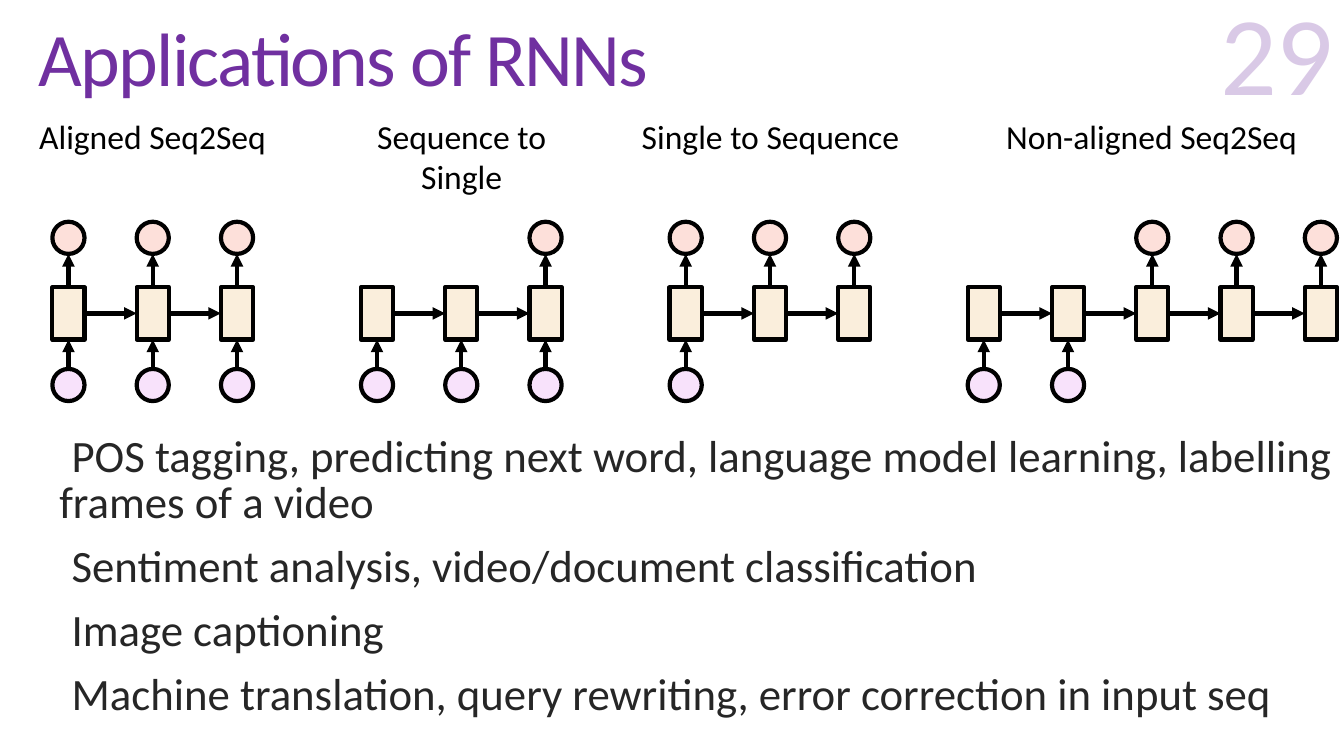
from pptx import Presentation
from pptx.dml.color import RGBColor
from pptx.enum.shapes import MSO_CONNECTOR as CONNECTOR, MSO_SHAPE as SHAPE
from pptx.enum.text import MSO_ANCHOR as ANCHOR, PP_ALIGN as ALIGN
from pptx.oxml.xmlchemy import OxmlElement
from pptx.util import Pt

COLORS = {
    "purple": "7030A0",
    "black": "000000",
    "body": "262626",
    "input": "F8E2FB",
    "output": "FDE0DA",
    "cell": "FAEEDC",
}
FONT = "Calibri"
NODE = 23
CELL_HEIGHT = 37.4
PITCH = 60.2
CELL_DROP = 46.8
INPUT_DROP = 105.1

DIAGRAMS = [
    ("Aligned Seq2Seq", (0, 218), 37.4, 3, {0, 1, 2}, {0, 1, 2}),
    ("Sequence to Single", (231.1, 197.3), 257.8, 3, {0, 1, 2}, {2}),
    ("Single to Sequence", (432.7, 235.4), 478.3, 3, {0}, {0, 1, 2}),
    ("Non-aligned Seq2Seq", (704.9, 235.4), 691.2, 5, {0, 1}, {2, 3, 4}),
]
APPLICATIONS = [
    "POS tagging, predicting next word, language model learning, "
    "labelling frames of a video",
    "Sentiment analysis, video/document classification",
    "Image captioning",
    "Machine translation, query rewriting, error correction in input seq",
]


def rgb(name):
    return RGBColor.from_string(COLORS[name])


def add_text(shapes, box, lines, size, color, align=ALIGN.LEFT, anchor=ANCHOR.TOP):
    shape = shapes.add_textbox(*map(Pt, box))
    frame = shape.text_frame
    frame.word_wrap = True
    frame.vertical_anchor = anchor
    frame.text = "\n".join(lines)
    for paragraph in frame.paragraphs:
        paragraph.alignment = align
        for run in paragraph.runs:
            run.font.name = FONT
            run.font.size = Pt(size)
            run.font.color.rgb = rgb(color)
    return frame


def add_node(shapes, kind, left, top, height, color):
    shape = shapes.add_shape(kind, Pt(left), Pt(top), Pt(NODE), Pt(height))
    shape.shadow.inherit = False
    shape.fill.solid()
    shape.fill.fore_color.rgb = rgb(color)
    shape.line.color.rgb = rgb("black")
    shape.line.width = Pt(3)
    return shape


def add_arrow(shapes, start, end):
    arrow = shapes.add_connector(CONNECTOR.STRAIGHT, *map(Pt, start + end))
    arrow.line.color.rgb = rgb("black")
    arrow.line.width = Pt(3)
    head = OxmlElement("a:tailEnd")
    head.set("type", "triangle")
    arrow.line._get_or_add_ln().append(head)
    arrow._element.spPr.append(OxmlElement("a:effectLst"))
    return arrow


def add_title(slide, box):
    frame = add_text(slide.shapes, box, ["Applications of RNNs"], 54, "purple",
                     anchor=ANCHOR.MIDDLE)
    paragraph = frame.paragraphs[0]
    paragraph.line_spacing = 0.85
    paragraph.runs[0].font._element.set("spc", "-120")


def add_slide_number(slide, box):
    frame = add_text(slide.shapes, box, ["29"], 80, "purple", ALIGN.RIGHT, ANCHOR.BOTTOM)
    alpha = OxmlElement("a:alpha")
    alpha.set("val", "25000")
    properties = frame.paragraphs[0].runs[0].font._element
    properties.find(".//{*}srgbClr").append(alpha)


def add_network(slide, left, top, steps, inputs, outputs):
    shapes = slide.shapes.add_group_shape().shapes
    cell_top = top + CELL_DROP
    cell_bottom = cell_top + CELL_HEIGHT
    cell_middle = cell_top + CELL_HEIGHT / 2
    input_top = top + INPUT_DROP
    previous = None
    for step in range(steps):
        x = left + step * PITCH
        center = x + NODE / 2
        cell = add_node(shapes, SHAPE.RECTANGLE, x, cell_top, CELL_HEIGHT, "cell")
        if step in inputs:
            source = add_node(shapes, SHAPE.OVAL, x, input_top, NODE, "input")
            arrow = add_arrow(shapes, (center, input_top), (center, cell_bottom))
            arrow.begin_connect(source, 0)
            arrow.end_connect(cell, 2)
        if step in outputs:
            add_node(shapes, SHAPE.OVAL, x, top, NODE, "output")
            arrow = add_arrow(shapes, (center, cell_top), (center, top + NODE))
            arrow.begin_connect(cell, 0)
        if previous is not None:
            arrow = add_arrow(shapes, (x - PITCH + NODE, cell_middle), (x, cell_middle))
            arrow.begin_connect(previous, 3)
            arrow.end_connect(cell, 1)
        previous = cell


def add_diagrams(slide, top):
    for caption, (caption_left, width), left, steps, inputs, outputs in DIAGRAMS:
        add_text(slide.shapes, (caption_left, top, width, 36), [caption], 24, "black",
                 ALIGN.CENTER)
        add_network(slide, left, top + 79.2, steps, inputs, outputs)


def add_applications(slide, box):
    frame = add_text(slide.shapes, box, APPLICATIONS, 32, "body")
    for index, paragraph in enumerate(frame.paragraphs):
        paragraph.line_spacing = 0.85
        paragraph.space_before = Pt(13 if index else 0)
        properties = paragraph._p.get_or_add_pPr()
        properties.set("marL", str(Pt(7.2)))
        properties.set("indent", str(Pt(-7.2)))
        bullet = OxmlElement("a:buChar")
        bullet.set("char", " ")
        properties.append(bullet)


def main():
    presentation = Presentation()
    presentation.slide_width = Pt(960)
    presentation.slide_height = Pt(540)
    slide = presentation.slides.add_slide(presentation.slide_layouts[6])
    add_title(slide, (20.2, 2.9, 913.7, 85))
    add_slide_number(slide, (729.4, 3.6, 230.4, 84.2))
    add_applications(slide, (28.1, 308.2, 931.7, 221))
    add_diagrams(slide, 79.2)
    presentation.save("out.pptx")


if __name__ == "__main__":
    main()
